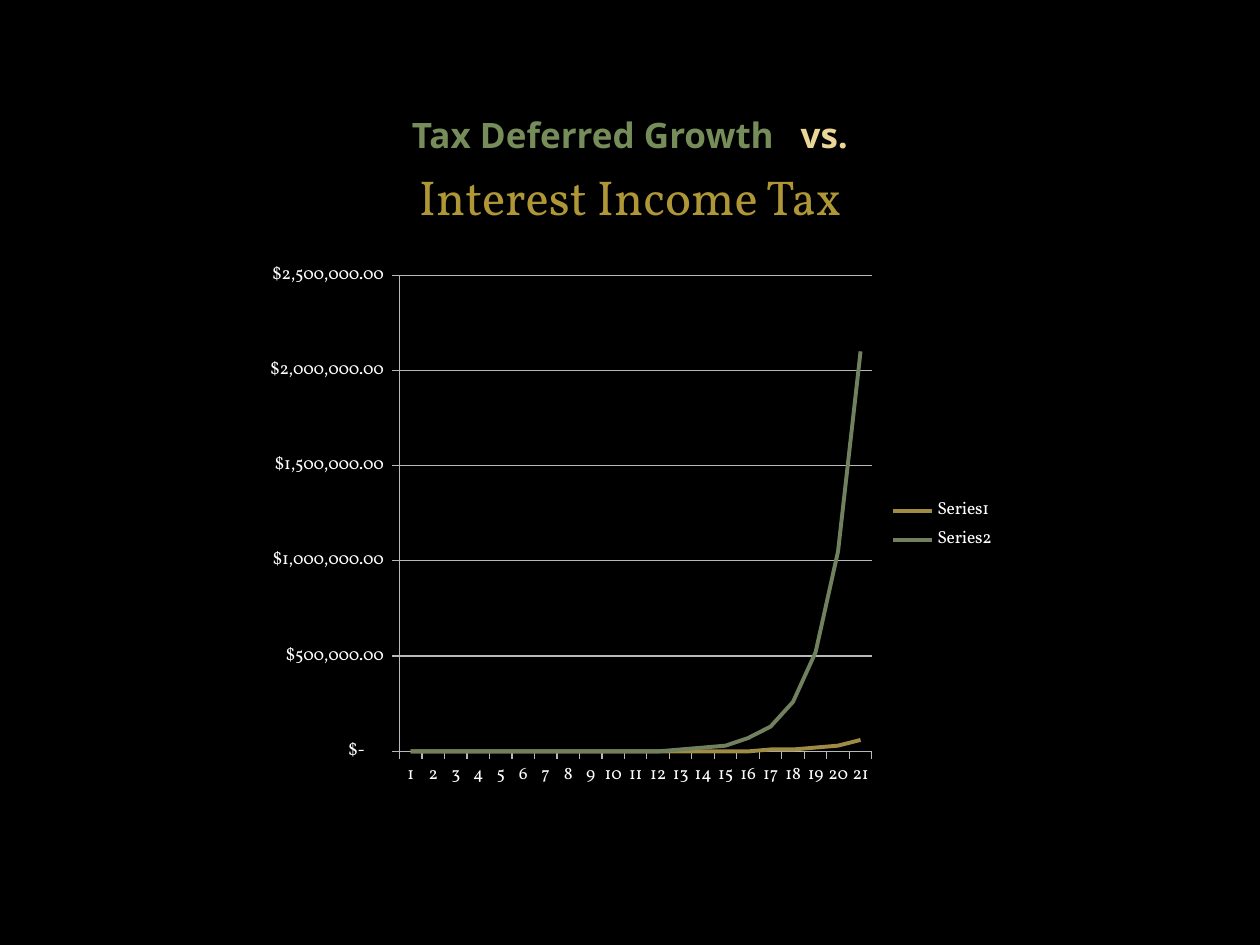
from lxml.etree import SubElement
from pptx import Presentation
from pptx.chart.data import CategoryChartData
from pptx.dml.color import RGBColor
from pptx.enum.chart import XL_CHART_TYPE, XL_LEGEND_POSITION, XL_TICK_MARK
from pptx.enum.text import MSO_ANCHOR, PP_ALIGN
from pptx.oxml.ns import qn
from pptx.util import Inches, Pt

COLORS = {
    "background": "000000",
    "text": "FFFFFF",
    "axis": "B9B9B9",
    "deferred": "768D5A",
    "versus": "EAD696",
    "taxed": "AF9738",
    "taxed_line": "9E8B45",
    "deferred_line": "71815F",
}
SANS, SERIF = "Open Sans", "Vollkorn"
MONEY = '_("$"* #,##0.00_);_("$"* \\(#,##0.00\\);_("$"* "-"??_);_(@_)'
TAXED = [0] * 16 + [10000, 10000, 20000, 30000, 60000]
DEFERRED = [0] * 12 + [10000, 20000, 30000, 70000, 130000, 260000, 520000, 1050000, 2100000]


def rgb(name):
    return RGBColor.from_string(COLORS[name])


class Deck:
    def __init__(self, prs):
        self.prs = prs
        self.s = prs.slides.add_slide(prs.slide_layouts[6])
        fill = self.s.background.fill
        fill.solid()
        fill.fore_color.rgb = rgb("background")

    def box(self, x, y, w, h):
        width, height = self.prs.slide_width, self.prs.slide_height
        return int(x * width), int(y * height), int(w * width), int(h * height)

    def heading(self, area, runs, font, size, bold=False, anchor=MSO_ANCHOR.TOP, bottom=0.05):
        tf = self.s.shapes.add_textbox(*self.box(*area)).text_frame
        tf.word_wrap = True
        tf.vertical_anchor = anchor
        tf.margin_left = tf.margin_right = tf.margin_top = Inches(0.05)
        tf.margin_bottom = Inches(bottom)
        p = tf.paragraphs[0]
        p.alignment = PP_ALIGN.CENTER
        for text, color, spacing in runs:
            r = p.add_run()
            r.text = text
            r.font.name, r.font.size, r.font.bold = font, Pt(size), bold
            r.font.color.rgb = rgb(color)
            if spacing:
                r._r.get_or_add_rPr().set("spc", str(spacing * 100))

    def line_chart(self, area, categories, series, plot):
        data = CategoryChartData(number_format=MONEY)
        data.categories = categories
        for name, values, _ in series:
            data.add_series(name, values)
        chart = self.s.shapes.add_chart(XL_CHART_TYPE.LINE, *self.box(*area), data).chart
        chart.has_title = False
        chart.font.name, chart.font.size = SERIF, Pt(10)
        chart.font.color.rgb = rgb("text")
        chart.has_legend = True
        chart.legend.position = XL_LEGEND_POSITION.RIGHT
        chart.legend.include_in_layout = False
        chart.plots[0].vary_by_categories = False
        for line, (_, _, color) in zip(chart.plots[0].series, series):
            line.smooth = False
            line.format.line.width = Pt(2.25)
            line.format.line.color.rgb = rgb(color)
        value = chart.value_axis
        value.minimum_scale, value.maximum_scale, value.major_unit = 0, 2500000, 500000
        value.has_major_gridlines = True
        value.tick_labels.number_format = MONEY
        value.tick_labels.number_format_is_linked = False
        for axis in (value, chart.category_axis):
            axis.major_tick_mark = XL_TICK_MARK.OUTSIDE
        for part in (value, value.major_gridlines, chart.category_axis):
            part.format.line.width = Pt(0.75)
            part.format.line.color.rgb = rgb("axis")
        self.place_plot(chart, plot)

    def place_plot(self, chart, plot):
        area = chart._chartSpace.chart.plotArea
        for old in area.findall(qn("c:layout")):
            area.remove(old)
        layout = SubElement(area, qn("c:layout"))
        area.insert(0, layout)
        manual = SubElement(layout, qn("c:manualLayout"))
        settings = [("layoutTarget", "inner"), ("xMode", "edge"), ("yMode", "edge")]
        for tag, val in settings + list(zip("xywh", plot)):
            SubElement(manual, qn(f"c:{tag}")).set("val", str(val))


def main():
    prs = Presentation()
    prs.slide_width, prs.slide_height = Inches(10), Inches(7.5)
    deck = Deck(prs)
    deck.heading(
        (0.2, 0.09, 0.6, 0.075),
        [("Tax Deferred Growth", "deferred", 0), (" ", "deferred", 10), ("vs.", "versus", 0)],
        SANS, 20, bold=True, anchor=MSO_ANCHOR.BOTTOM, bottom=0,
    )
    deck.heading((0.2, 0.17, 0.6, 0.08), [("Interest Income Tax", "taxed", 0)], SERIF, 28)
    deck.line_chart(
        (0.2, 0.267, 0.6, 0.578),
        [str(n) for n in range(1, 22)],
        [("Series1", TAXED, "taxed_line"), ("Series2", DEFERRED, "deferred_line")],
        (0.195, 0.042, 0.625, 0.872),
    )
    prs.save("out.pptx")


if __name__ == "__main__":
    main()
